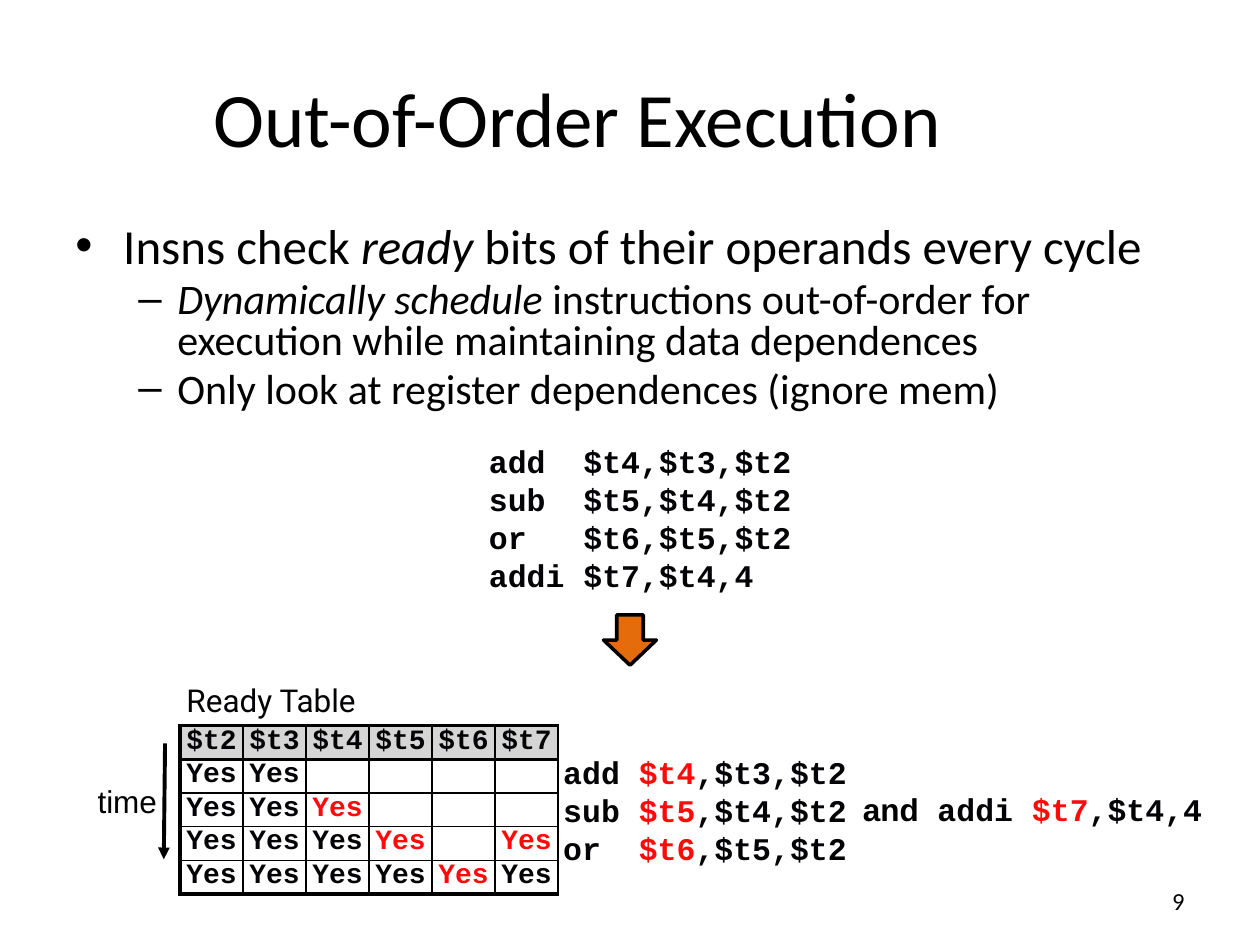
"""Builds the Out-of-Order Execution slide."""
from lxml import etree
from pptx import Presentation
from pptx import util as u
from pptx.dml.color import RGBColor
from pptx.enum import shapes, text
from pptx.oxml import ns

TITLE = "Out-of-Order Execution"
BULLETS = [
    (0, [("Insns check ", "bullet"), ("ready", "bullet_term"),
         (" bits of their operands every cycle", "bullet")]),
    (1, [("Dynamically schedule ", "dash_term"),
         ("instructions out-of-order for execution while maintaining data dependences", "dash")]),
    (1, [("Only look at register dependences (ignore mem)", "dash")]),
]
PROGRAM = ["add  $t4,$t3,$t2", "sub  $t5,$t4,$t2", "or   $t6,$t5,$t2", "addi $t7,$t4,4"]
REGISTERS = ["$t2", "$t3", "$t4", "$t5", "$t6", "$t7"]
READY_AT = [0, 0, 1, 2, 3, 2]
CYCLES = 4
ISSUED = [
    (4.42, 5.98, "add ", "$t4", ",$t3,$t2"),
    (4.42, 6.28, "sub ", "$t5", ",$t4,$t2"),
    (4.42, 6.58, "or  ", "$t6", ",$t5,$t2"),
    (7.39, 6.27, "addi ", "$t7", ",$t4,4"),
]

THEME = {
    "color": {"black": "000000", "ink": "030305", "red": "FF0909",
              "header": "D5D5D5", "orange": "E46C0A"},
    "type": {
        "title": ("Calibri", 44, "black", {}),
        "bullet": ("Calibri", 28, "black", {}),
        "bullet_term": ("Calibri", 28, "black", {"italic": True}),
        "dash": ("Calibri", 24, "black", {}),
        "dash_term": ("Calibri", 24, "black", {"italic": True}),
        "page": ("Calibri", 14, "black", {}),
        "code": ("Courier New", 18, "ink", {"bold": True}),
        "code_new": ("Courier New", 18, "red", {"bold": True}),
        "cell": ("Courier New", 16, "ink", {"bold": True}),
        "cell_new": ("Courier New", 16, "red", {"bold": True}),
        "caption": ("Roboto", 18, "ink", {}),
        "label": ("Arial", 18, "black", {}),
        "label_bold": ("Arial", 18, "black", {"bold": True}),
    },
}
LEVELS = [("•", 0.38, -0.38), ("–", 0.81, -0.31)]
PLAIN_TABLE = "{2D5ABB26-0587-4C30-8999-92F81FD0307C}"
CODE_INSETS = {"margin_left": u.Inches(0.05), "margin_top": 0,
               "margin_right": 0, "margin_bottom": 0}
THIN, THICK = 1, 2.25


def color(name):
    return RGBColor.from_string(THEME["color"][name])


def assign(target, values):
    for key, value in values.items():
        setattr(target, key, value)


def write(paragraph, pieces):
    for words, style in pieces:
        face, size, ink, extra = THEME["type"][style]
        run = paragraph.add_run()
        run.text = words
        assign(run.font, {"name": face, "size": u.Pt(size), **extra})
        run.font.color.rgb = color(ink)


def add_text(slide, box, pieces, align=text.PP_ALIGN.LEFT, **frame_values):
    frame = slide.shapes.add_textbox(*map(u.Inches, box)).text_frame
    assign(frame, {"word_wrap": True, **frame_values})
    frame.paragraphs[0].alignment = align
    write(frame.paragraphs[0], pieces)
    return frame


def add_bullets(slide):
    frame = add_text(slide, (0.5, 1.75, 9, 4.58), [])
    for index, (level, pieces) in enumerate(BULLETS):
        paragraph = frame.add_paragraph() if index else frame.paragraphs[0]
        mark, margin, indent = LEVELS[level]
        props = paragraph._p.get_or_add_pPr()
        props.set("marL", str(u.Inches(margin)))
        props.set("indent", str(u.Inches(indent)))
        etree.SubElement(props, ns.qn("a:buFont")).set("typeface", "Arial")
        etree.SubElement(props, ns.qn("a:buChar")).set("char", mark)
        assign(paragraph, {"level": level, "line_spacing": 0.8})
        if index:
            paragraph.space_before = u.Pt(5)
        write(paragraph, pieces)


def add_grid(slide, left, top, widths, heights):
    box = map(u.Inches, (left, top, sum(widths), sum(heights)))
    frame = slide.shapes.add_table(len(heights), len(widths), *box)
    table = frame.table
    assign(table, {"first_row": False, "horz_banding": False})
    table._tbl.tblPr.find(ns.qn("a:tableStyleId")).text = PLAIN_TABLE
    for column, width in zip(table.columns, widths):
        column.width = u.Inches(width)
    for row, height in zip(table.rows, heights):
        row.height = u.Inches(height)
    return table


def fill_cell(cell, words, style, fill=None, borders=None):
    assign(cell, CODE_INSETS)
    paragraph = cell.text_frame.paragraphs[0]
    if words:
        write(paragraph, [(words, style)])
    else:
        end = etree.SubElement(paragraph._p, ns.qn("a:endParaRPr"))
        end.set("sz", str(THEME["type"][style][1] * 100))
    props = cell._tc.get_or_add_tcPr()
    for side, width in (borders or {}).items():
        line = etree.SubElement(props, ns.qn("a:ln" + side), w=str(u.Pt(width)))
        solid = etree.SubElement(line, ns.qn("a:solidFill"))
        etree.SubElement(solid, ns.qn("a:srgbClr"), val=THEME["color"]["black"])
    if fill:
        cell.fill.solid()
        cell.fill.fore_color.rgb = color(fill)
    else:
        cell.fill.background()


def add_program(slide):
    program = add_grid(slide, 3.83, 3.55, [2.92], [0.3] * len(PROGRAM))
    for row, instruction in enumerate(PROGRAM):
        fill_cell(program.cell(row, 0), instruction, "code")


def add_ready_table(slide):
    ready = add_grid(slide, 1.43, 5.42, [0.5] * len(REGISTERS),
                     [0.34] + [0.25] * (CYCLES + 1))
    ready.cell(0, 0).merge(ready.cell(0, len(REGISTERS) - 1))
    fill_cell(ready.cell(0, 0), "Ready Table", "caption", borders={"B": THICK})
    for column, (register, ready_at) in enumerate(zip(REGISTERS, READY_AT)):
        left = THIN if column else THICK
        fill_cell(ready.cell(1, column), register, "cell", "header",
                  {"L": left, "R": THIN, "T": THICK, "B": THICK})
        for cycle in range(CYCLES):
            borders = {"L": left, "R": THIN, "T": THIN if cycle else THICK,
                       "B": THICK if cycle == CYCLES - 1 else THIN}
            fill_cell(ready.cell(cycle + 2, column),
                      "Yes" if cycle >= ready_at else "",
                      "cell_new" if cycle == ready_at > 0 else "cell",
                      borders=borders)


def add_arrows(slide):
    ends = map(u.Inches, (1.31, 5.9, 1.3, 6.82))
    time_axis = slide.shapes.add_connector(shapes.MSO_CONNECTOR.STRAIGHT, *ends)
    time_axis.line.width = u.Pt(THICK)
    time_axis.line.color.rgb = color("black")
    etree.SubElement(time_axis.line._get_or_add_ln(), ns.qn("a:tailEnd"), type="triangle")
    etree.SubElement(time_axis._element.spPr, ns.qn("a:effectLst"))
    box = map(u.Inches, (4.8, 4.87, 0.4, 0.42))
    becomes = slide.shapes.add_shape(shapes.MSO_SHAPE.RIGHT_ARROW, *box)
    becomes.rotation = 90
    becomes.shadow.inherit = False
    becomes.fill.solid()
    becomes.fill.fore_color.rgb = color("orange")
    becomes.line.color.rgb = color("black")
    becomes.line.width = u.Pt(2)


def main():
    deck = Presentation()
    assign(deck, {"slide_width": u.Inches(10), "slide_height": u.Inches(7.5)})
    slide = deck.slides.add_slide(deck.slide_layouts[6])
    middle = text.MSO_ANCHOR.MIDDLE
    center, right = text.PP_ALIGN.CENTER, text.PP_ALIGN.RIGHT
    add_text(slide, (0.5, 0.3, 8.17, 1.25), [(TITLE, "title")], center,
             vertical_anchor=middle)
    add_bullets(slide)
    add_text(slide, (8.33, 6.95, 1.17, 0.4), [("9", "page")], right,
             vertical_anchor=middle)
    add_program(slide)
    add_ready_table(slide)
    for left, top, operation, target, operands in ISSUED:
        add_text(slide, (left, top, 2.38, 0.3),
                 [(operation, "code"), (target, "code_new"), (operands, "code")],
                 **CODE_INSETS)
    add_text(slide, (6.75, 6.22, 0.65, 0.4), [("and", "label_bold")], word_wrap=False)
    add_text(slide, (0.67, 6.16, 0.68, 0.4), [("time", "label")], center, word_wrap=False)
    add_arrows(slide)
    deck.save("out.pptx")


if __name__ == "__main__":
    main()
